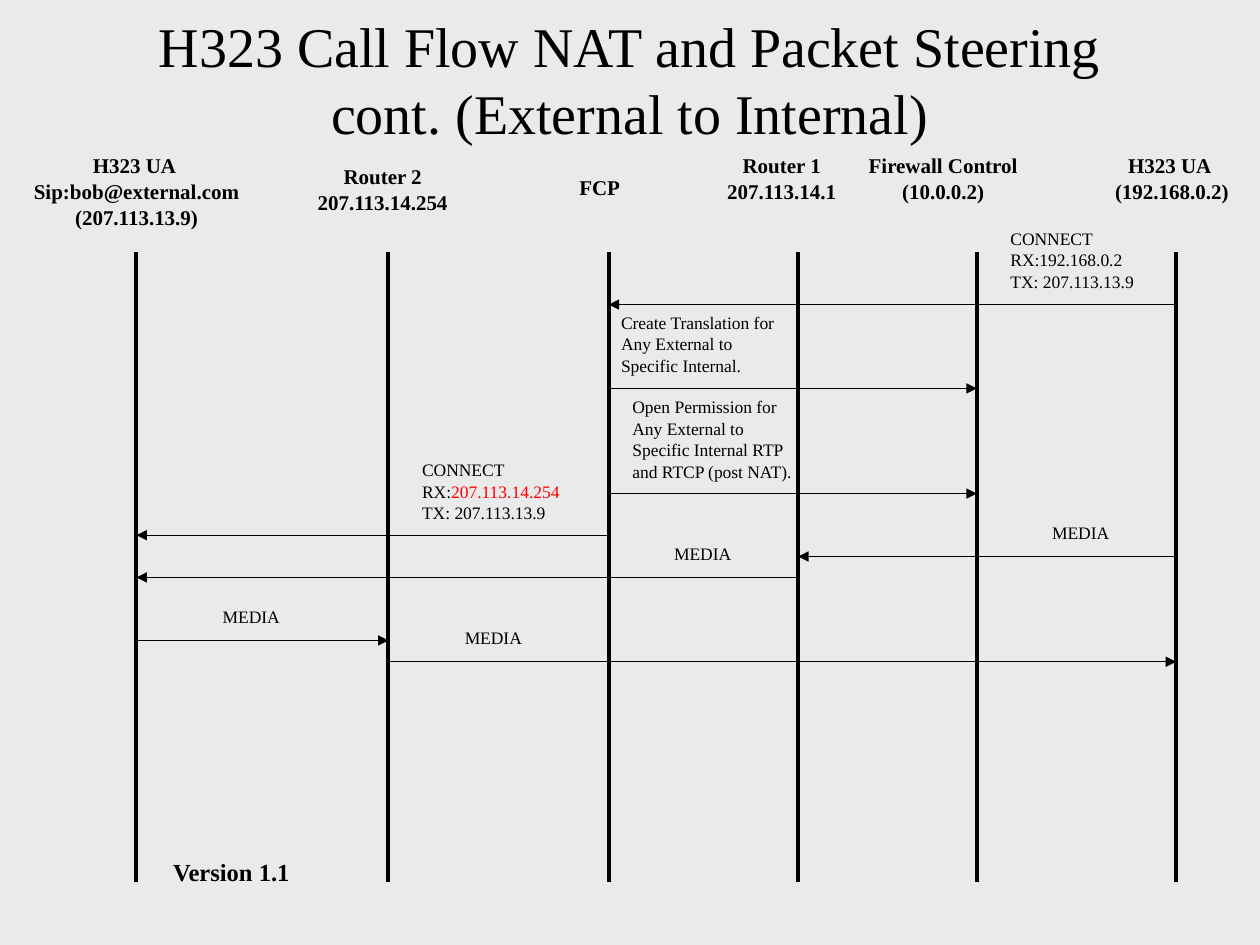
import pptx
import pptx.util
import pptx.dml.color
import pptx.enum.shapes
import pptx.enum.text
import pptx.oxml.ns
from lxml import etree

Cm = pptx.util.Cm
Pt = pptx.util.Pt
ALIGN = pptx.enum.text.PP_ALIGN
ANCHOR = pptx.enum.text.MSO_ANCHOR
FIT = pptx.enum.text.MSO_AUTO_SIZE

BLACK, RED, GREY = "000000", "FF0000", "EAEAEA"
FACE = "Times New Roman"

# Text styles: font, paragraph and frame values
TITLE = {
    "font": {"size": Pt(32)},
    "para": {"alignment": ALIGN.CENTER},
    "frame": {"word_wrap": True, "vertical_anchor": ANCHOR.MIDDLE},
    "gap": 0,
}
HEAD = {
    "font": {"size": Pt(12), "bold": True},
    "para": {"alignment": ALIGN.CENTER, "line_spacing": 0.5},
    "frame": {"word_wrap": False, "auto_size": FIT.SHAPE_TO_FIT_TEXT},
    "gap": 7.5,
}
NOTE = {
    "font": {"size": Pt(10)},
    "para": {"alignment": ALIGN.LEFT, "line_spacing": 0.5},
    "frame": {"word_wrap": False, "auto_size": FIT.SHAPE_TO_FIT_TEXT},
    "gap": 6.2,
}
WRAPPED = {**NOTE, "frame": {**NOTE["frame"], "word_wrap": True}}
FOOT = {
    "font": {"size": Pt(14), "bold": True},
    "para": {"alignment": ALIGN.CENTER},
    "frame": {"word_wrap": True},
    "gap": 0,
}

# Participants: label lines, label box in the head row, lane offset
PARTIES = [
    (["H323 UA ", "Sip:bob@external.com", "(207.113.13.9)"], (0.37, 0, 4.77, 1.55), 0),
    (["Router 2", "207.113.14.254"], (6.08, 0.22, 3.27, 1.04), 5.08),
    (["FCP"], (11.35, 0.43, 1.48, 0.51), 9.52),
    (["Router 1", "207.113.14.1"], (14.34, 0, 2.84, 1.04), 13.34),
    (["Firewall Control", "(10.0.0.2)"], (17.19, 0, 3.65, 1.04), 16.94),
    (["H323 UA ", "(192.168.0.2)"], (22.15, 0, 2.95, 1.04), 20.96),
]
LANES = [lane for _, _, lane in PARTIES]
CALLER, ROUTER2, FCP, ROUTER1, WALL, CALLEE = range(6)

# Messages: sender, receiver, drop below the lane tops
FLOWS = [
    (CALLEE, FCP, 1.06),
    (FCP, WALL, 2.75),
    (FCP, WALL, 4.87),
    (FCP, CALLER, 5.71),
    (CALLEE, ROUTER1, 6.14),
    (ROUTER1, CALLER, 6.56),
    (CALLER, ROUTER2, 7.83),
    (ROUTER2, CALLEE, 8.26),
]

# Message notes: lines (a pair is a run with its colour), box, style
NOTES = [
    (["CONNECT", "RX:192.168.0.2", "TX: 207.113.13.9"],
     (17.37, -0.43, 3.15, 1.35), NOTE),
    (["Create Translation for", "Any External to", "Specific Internal."],
     (9.52, 1.27, 3.81, 1.35), WRAPPED),
    (["Open Permission for", "Any External to", "Specific Internal RTP",
      "and RTCP (post NAT)."], (9.75, 2.97, 3.81, 1.78), WRAPPED),
    (["CONNECT", [("RX:", BLACK), ("207.113.14.254", RED)], "TX: 207.113.13.9"],
     (5.51, 4.24, 3.45, 1.35), NOTE),
]
MEDIA = [(18.21, 5.51), (10.59, 5.92), (1.49, 7.19), (6.37, 7.62)]
NOTES += [(["MEDIA"], (x, y, 1.8, 0.48), NOTE) for x, y in MEDIA]


def paint(colour, code):
    colour.rgb = pptx.dml.color.RGBColor.from_string(code)


def apply(target, values):
    for name, value in values.items():
        setattr(target, name, value)


def shift(box, part):
    """Turn a part placed inside a box into slide centimetres."""
    return (box[0] + part[0], box[1] + part[1], *part[2:])


def write(slide, box, lines, style):
    frame = slide.shapes.add_textbox(*map(Cm, box)).text_frame
    apply(frame, style["frame"])
    for i, line in enumerate(lines):
        para = frame.add_paragraph() if i else frame.paragraphs[0]
        apply(para, style["para"])
        para.space_before = Pt(style["gap"] if i else 0)
        for text, code in [(line, BLACK)] if isinstance(line, str) else line:
            run = para.add_run()
            run.text = text
            apply(run.font, {"name": FACE, **style["font"]})
            paint(run.font.color, code)


def draw(slide, start, end, width, arrow=False):
    kind = pptx.enum.shapes.MSO_CONNECTOR.STRAIGHT
    line = slide.shapes.add_connector(kind, *map(Cm, (*start, *end)))
    line.line.width = Pt(width)
    paint(line.line.color, BLACK)
    qn = pptx.oxml.ns.qn
    props = line.element.spPr
    if arrow:
        etree.SubElement(props.find(qn("a:ln")), qn("a:tailEnd"), type="triangle")
    etree.SubElement(props, qn("a:effectLst"))


def add_heads(slide, box):
    for lines, part, _ in PARTIES:
        write(slide, shift(box, part), lines, HEAD)


def add_lanes(slide, box):
    for lane in LANES:
        draw(slide, shift(box, (lane, 0)), shift(box, (lane, box[3])), 2.25)


def add_flows(slide, box):
    for source, goal, drop in FLOWS:
        draw(slide, shift(box, (LANES[source], drop)),
             shift(box, (LANES[goal], drop)), 0.75, arrow=True)
    for lines, part, style in NOTES:
        write(slide, shift(box, part), lines, style)


def main():
    deck = pptx.Presentation()
    apply(deck, {"slide_width": Cm(25.4), "slide_height": Cm(19.05)})
    slide = deck.slides.add_slide(deck.slide_layouts[6])
    slide.background.fill.solid()
    paint(slide.background.fill.fore_color, GREY)

    # Title
    title = ["H323 Call Flow NAT and Packet Steering", "cont. (External to Internal)"]
    write(slide, (0, 0, 25.4, 3.18), title, TITLE)

    # Sequence chart
    chart = (2.75, 5.08, 20.96, 12.7)
    add_lanes(slide, chart)
    add_heads(slide, (0, 3.18, 25.4, 1.55))
    add_flows(slide, chart)

    # Version mark
    write(slide, (0.64, 17.15, 8.05, 1.27), ["Version 1.1"], FOOT)
    deck.save("out.pptx")


if __name__ == "__main__":
    main()
